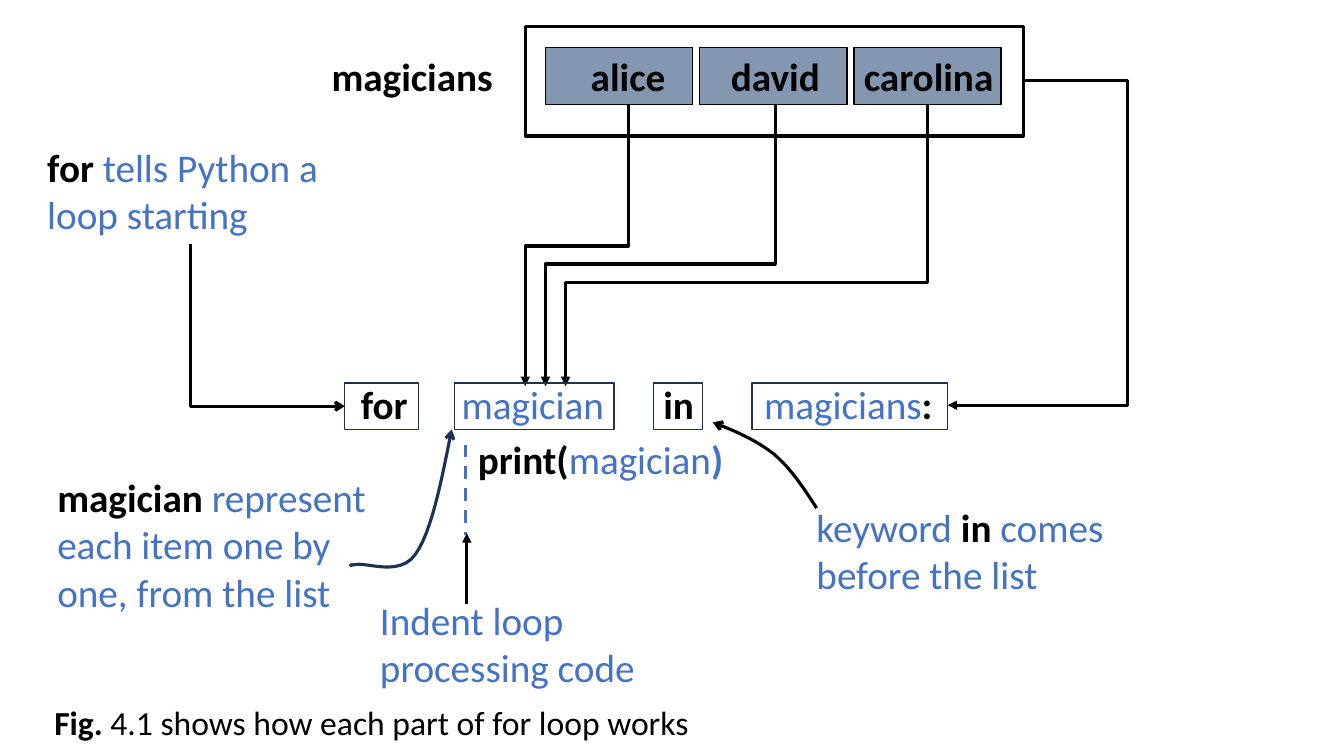
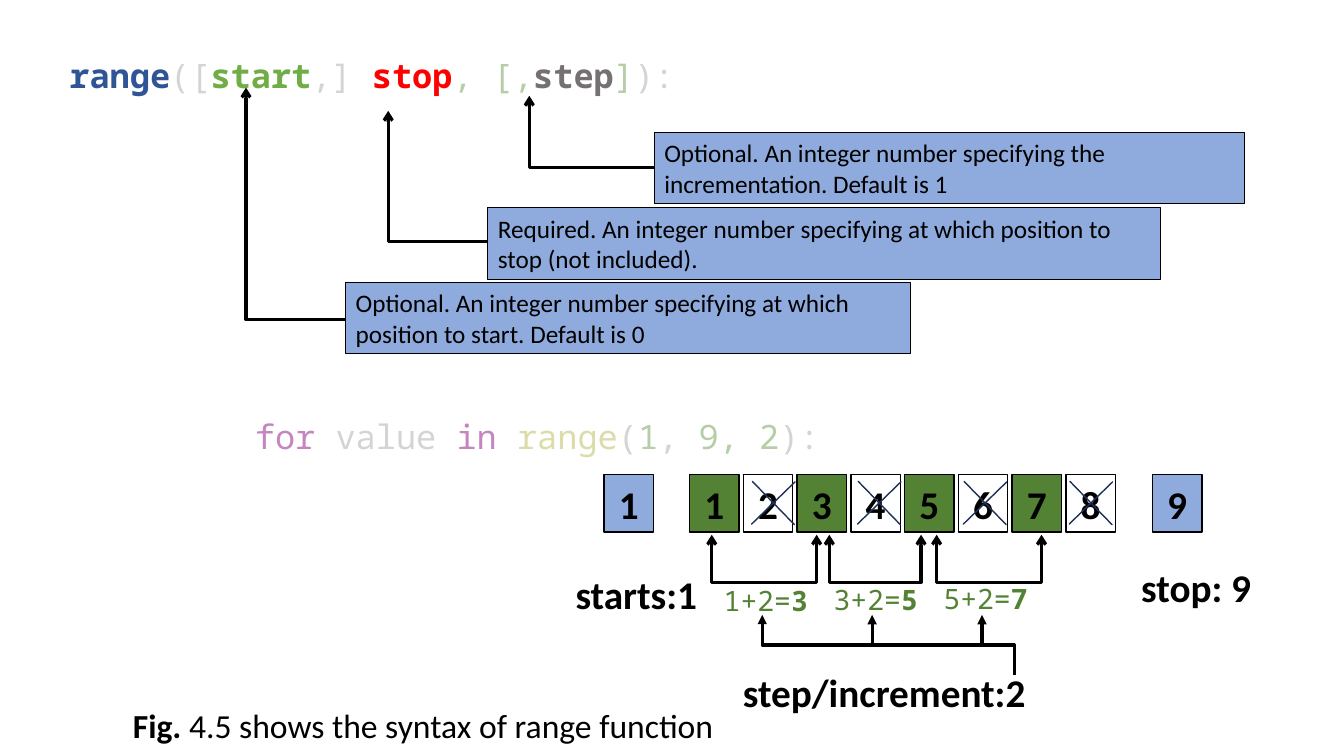
from dataclasses import dataclass

from lxml import etree
from pptx import Presentation
from pptx import util as u
from pptx.dml.color import RGBColor
from pptx.enum import dml, shapes, text
from pptx.oxml import ns


@dataclass(frozen=True)
class Theme:
    ink: str = "000000"
    white: str = "FFFFFF"
    blue: str = "4472C4"
    navy: str = "1E3256"
    steel: str = "8497B0"
    sky: str = "8FAADC"
    green: str = "548235"
    red: str = "FF0000"
    pale: str = "D4D4D4"
    mint: str = "B5CEA8"
    pink: str = "C586C0"
    sand: str = "DCDCAA"
    deep: str = "2F5597"
    leaf: str = "70AD47"
    gray: str = "767171"
    sans: str = "Calibri"
    mono: str = "Noto Sans Mono"
    big: int = 28
    mid: int = 24
    sum: int = 20
    small: int = 18
    thick: float = 2.25
    thin: float = 1


T = Theme()
IN = u.Inches
KIND = shapes.MSO_SHAPE
MID = text.PP_ALIGN.CENTER


def tag(node, label, /, **attrs):
    return etree.SubElement(node, ns.qn("a:" + label), **attrs)


def fill_text(frame, runs, size=T.big, font=T.sans, align=None, tabs=(), pad=(.1, .05, .1, .05)):
    """Write runs of (words, colour, bold) as one paragraph."""
    frame.word_wrap = True
    frame.margin_left, frame.margin_top, frame.margin_right, frame.margin_bottom = map(IN, pad)
    para = frame.paragraphs[0]
    para.alignment = align or text.PP_ALIGN.LEFT
    if tabs:
        stops = tag(para._p.get_or_add_pPr(), "tabLst")
        for stop in tabs:
            tag(stops, "tab", pos=str(IN(stop)), algn="l")
    for words, color, bold in runs:
        run = para.add_run()
        run.text = words
        run.font.size, run.font.name, run.font.bold = u.Pt(size), font, bold
        run.font.color.rgb = RGBColor.from_string(color)


def label(s, x, y, w, h, *runs, **form):
    box = s.shapes.add_textbox(*map(IN, (x, y, w, h)))
    fill_text(box.text_frame, runs, **form)


def stroke(part, color=T.ink, width=T.thick, head=None, tail=None, dash=None):
    part.line.color.rgb = RGBColor.from_string(color)
    part.line.width = u.Pt(width)
    if dash:
        part.line.dash_style = dash
    for name, kind in (("headEnd", head), ("tailEnd", tail)):
        if kind:
            tag(part.line._get_or_add_ln(), name, type=kind)


def shape(s, x, y, w, h, *runs, kind=KIND.RECTANGLE, fill=None, color=T.ink,
          width=T.thin, turn=0, adj=None, ends=None, **form):
    part = s.shapes.add_shape(kind, *map(IN, (x, y, w, h)))
    part.shadow.inherit = False
    part.rotation = turn
    if adj is not None:
        part.adjustments[0] = adj
    if fill:
        part.fill.solid()
        part.fill.fore_color.rgb = RGBColor.from_string(fill)
    else:
        part.fill.background()
    stroke(part, color, width, ends, ends)
    if runs:
        fill_text(part.text_frame, runs, **form)


def line(s, a, b, **look):
    part = s.shapes.add_connector(shapes.MSO_CONNECTOR.STRAIGHT, *map(IN, (*a, *b)))
    stroke(part, **look)
    tag(part._element.spPr, "effectLst")


def elbow(s, a, b, bends=2, turn=0, flip=None, adj=None, **look):
    """Bent arrow from a to b; a quarter turn swaps the sides of its frame."""
    w, h = abs(b[0] - a[0]), abs(b[1] - a[1])
    mx, my = (a[0] + b[0]) / 2, (a[1] + b[1]) / 2
    if turn:
        w, h = h, w
    part = s.shapes.add_connector(
        shapes.MSO_CONNECTOR.ELBOW,
        *map(IN, (mx - w / 2, my - h / 2, mx + w / 2, my + h / 2)))
    props = part._element.spPr
    frame = props.find(ns.qn("a:xfrm"))
    frame.set("rot", str(turn * 60000))
    if flip:
        frame.set(flip, "1")
    form = props.find(ns.qn("a:prstGeom"))
    form.set("prst", f"bentConnector{bends + 1}")
    if adj is not None:
        tag(form.find(ns.qn("a:avLst")), "gd", name="adj1", fmla=f"val {round(adj * 100000)}")
    stroke(part, **look)
    tag(props, "effectLst")


def curve(s, start, *arcs, steps=12, **look):
    """Smooth stroke through cubic arcs, each given as three points."""
    points, p = [], start
    for q, r, end in arcs:
        for i in range(1, steps + 1):
            t = i / steps
            v = 1 - t
            points.append([IN(v**3 * p[k] + 3 * v * v * t * q[k] + 3 * v * t * t * r[k]
                              + t**3 * end[k]) for k in (0, 1)])
        p = end
    pen = s.shapes.build_freeform(IN(start[0]), IN(start[1]))
    pen.add_line_segments(points, close=False)
    part = pen.convert_to_shape()
    part.shadow.inherit = False
    part.fill.background()
    stroke(part, **look)


def caption(s, x, y, words):
    label(s, x, y, 8.26, .5, ("Fig.", T.ink, True), (words, T.ink, False), size=T.mid)


# Slide 1: parts of a for loop
def name_list(s, x, y):
    label(s, x - 2.02, y + .21, 1.9, .57, ("magicians", T.ink, True))
    for i, (name, left) in enumerate((("alice", .18), ("david", .04), ("carolina", .02))):
        shape(s, x + .2 + 1.53 * i, y + .21, 1.46, .57, (name, T.ink, True),
              fill=T.steel, align=MID, pad=(left, 0, 0, 0))
    # Each name runs down to the loop variable
    top, end = y + .78, y + 3.57
    for i, start in enumerate((1.02, 2.48, 3.99)):
        elbow(s, (x + start, top), (x + .2 * i, end), turn=90,
              adj=(1.4 + .18 * i) / (end - top), tail="triangle")
    shape(s, x, y, 4.94, 1.09, width=T.thick)
    # The whole list runs to its name in the loop
    elbow(s, (x + 4.94, y + .54), (x + 4.19, y + 3.76), flip="flipH", adj=-1.375, tail="triangle")


def loop_code(s, x, y):
    label(s, x + .06, y - .08, 6.59, .57, ("for\t", T.ink, True), ("magician", T.blue, False),
          (" \tin \t", T.ink, True), ("magicians", T.blue, False), (":", T.ink, True),
          tabs=(1, 3, 4))
    for left, w in ((0, .73), (1.09, 1.58), (3.06, .49), (4.04, 1.94)):
        shape(s, x + left, y, w, .46, color=T.navy)
    label(s, x + 1.22, y + .47, 2.68, .57, ("print(", T.ink, True),
          ("magician", T.blue, False), (")", T.blue, True))
    line(s, (x + 1.2, y + .61), (x + 1.2, y + 1.51), color=T.blue, dash=dml.MSO_LINE.DASH)


def loop_notes(s):
    label(s, .37, 1.37, 3.05, 1.04, ("for ", T.ink, True),
          ("tells Python a loop starting", T.blue, False))
    elbow(s, (1.89, 2.42), (3.42, 4.03), bends=1, turn=270, flip="flipH", tail="arrow")
    label(s, 3.67, 5.87, 3.05, 1.04, ("Indent loop processing code", T.blue, False))
    line(s, (4.63, 5.99), (4.63, 5.29), tail="triangle")
    label(s, .47, 4.65, 3.57, 1.51, ("magician ", T.ink, True),
          ("represent each item one by one, from the list", T.blue, False))
    curve(s, (4.48, 4.26), ((4.38, 4.77), (4.28, 5.28), (4.12, 5.5)),
          ((3.97, 5.72), (3.64, 5.58), (3.53, 5.6)),
          ((3.43, 5.62), (3.5, 5.6), (3.5, 5.6)), color=T.navy, head="arrow")
    label(s, 8, 4.94, 3.3, 1.04, ("keyword ", T.blue, False), ("in", T.ink, True),
          (" comes before the list", T.blue, False))
    curve(s, (7.07, 4.19), ((7.28, 4.27), (7.49, 4.36), (7.67, 4.5)),
          ((7.84, 4.64), (7.97, 4.84), (8.1, 5.04)), head="arrow")


def loop_slide(s):
    name_list(s, 5.21, .26)
    loop_code(s, 3.42, 3.8)
    loop_notes(s)
    caption(s, .44, 6.91, " 4.1 shows how each part of for loop works")


# Slide 2: the range function
def syntax(s, x, y):
    label(s, x, y, 6.67, .5, ("range", T.deep, True), ("([", T.pale, False),
          ("start", T.leaf, True), (",] ", T.pale, False), ("stop", T.red, True),
          (", [,", T.mint, False), ("step", T.gray, True), ("]", T.mint, False),
          ("):", T.pale, False), size=T.mid, font=T.mono)
    # Tip of the arrow, its row, then the note's left, top and width
    notes = (
        (4.66, .45, 1.16, 5.9, .81, 5.85,
         "Optional. An integer number specifying the incrementation. Default is 1"),
        (3.26, .6, 1.9, 4.25, 1.56, 6.67,
         "Required. An integer number specifying at which position to stop (not included)."),
        (1.85, .37, 2.67, 2.84, 2.3, 5.6,
         "Optional. An integer number specifying at which position to start. Default is 0"),
    )
    for tip, top, row, left, down, w, words in notes:
        elbow(s, (x + tip, y + top), (x + left, y + row), bends=1, turn=270,
              flip="flipH", head="arrow")
        shape(s, x + left, y + down, w, .71, (words, T.ink, False), fill=T.sky,
              width=.75, size=T.small)


def number_row(s, x, y):
    """Cells 1 to 8 between the start and stop cells."""
    cells = [(1, -.85, T.sky), (9, 4.59, T.sky)]
    cells += [(n + 1, .533 * n, T.white if n % 2 else T.green) for n in range(8)]
    for n, left, fill in cells:
        shape(s, x + left, y, .49, .57, (str(n), T.ink, True), fill=fill,
              align=MID, pad=(0, 0, 0, 0))
    # Skipped values
    for i in range(4):
        shape(s, x + .53 + 1.05 * i, y - .02, .6, .6, kind=KIND.CROSS, fill=T.red,
              color=T.navy, turn=45.8, adj=.5)
    label(s, x - 1.23, y + .9, 1.45, .57, ("starts:1", T.ink, True))
    label(s, x + 4.38, y + .83, 1.44, .57, ("stop: 9", T.ink, True))


def steps(s, x, y):
    """Brackets and sums from each value to the next."""
    for i, (mid, span) in enumerate(((.74, 1.04), (1.84, .91), (2.97, 1.04))):
        shape(s, x + mid - .235, y + .83 - span / 2, .47, span, kind=KIND.LEFT_BRACKET,
              width=T.thick, turn=270, adj=0, ends="arrow")
        n = 2 * i + 1
        label(s, x + .24 + 1.09 * i, y + 1.03 - .01 * i, 1.16, .44, (f"{n}+2=", T.green, False),
              (str(n + 2), T.green, True), size=T.sum, font=T.mono)
    elbow(s, (x + 3.22, y + 1.99), (x + .72, y + 1.39), turn=270, flip="flipV", tail="triangle")
    for left in (1.81, 2.9):
        line(s, (x + left, y + 1.69), (x + left, y + 1.39), tail="triangle")
    label(s, x + .43, y + 1.87, 3.88, .57, ("step/increment:2", T.ink, True))


def range_slide(s):
    syntax(s, .59, .5)
    label(s, 2.43, 4.08, 6.67, .5, ("for", T.pink, False), (" value ", T.pale, False),
          ("in ", T.pink, False), ("range", T.sand, False), ("(", T.pale, False),
          ("1", T.mint, False), (", ", T.pale, False), ("9, 2", T.mint, False),
          ("):", T.pale, False), size=T.mid, font=T.mono)
    number_row(s, 6.84, 4.71)
    steps(s, 6.84, 4.71)
    caption(s, 1.22, 6.94, " 4.5 shows the syntax of range function")


def main():
    deck = Presentation()
    deck.slide_width, deck.slide_height = IN(13.33), IN(7.5)
    for build in (loop_slide, range_slide):
        build(deck.slides.add_slide(deck.slide_layouts[6]))
    deck.save("out.pptx")


if __name__ == "__main__":
    main()
